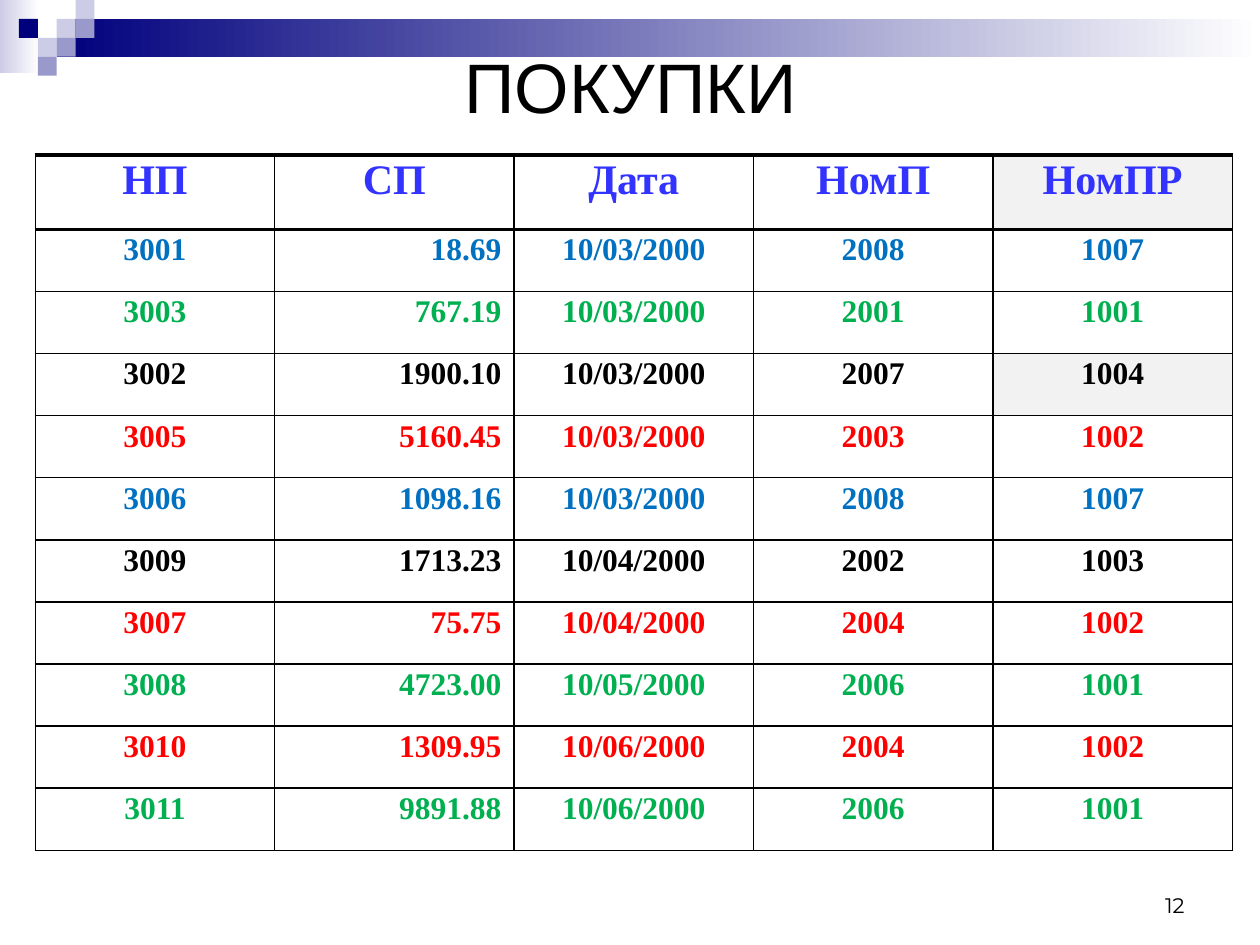
"""Build the purchases table slide."""
from dataclasses import dataclass

from lxml.etree import SubElement
from pptx import Presentation
from pptx.dml.color import RGBColor
from pptx.enum.shapes import MSO_SHAPE
from pptx.enum.text import MSO_ANCHOR, PP_ALIGN
from pptx.oxml.ns import qn
from pptx.slide import Slide
from pptx.table import _Cell
from pptx.text.text import TextFrame
from pptx.util import Inches, Pt


@dataclass(frozen=True)
class Theme:
    navy: str = "00007D"
    lilac: str = "CCCCE6"
    violet: str = "9999CC"
    white: str = "FFFFFF"
    black: str = "000000"
    heading: str = "3333FF"
    shade: str = "F2F2F2"
    blue: str = "0070C0"
    green: str = "00B050"
    red: str = "FF0000"
    title_font: str = "Arial"
    table_font: str = "Times New Roman"
    number_font: str = "Montserrat"
    title_size: int = 40
    heading_size: int = 24
    body_size: int = 18
    number_size: int = 12
    thin: int = 1
    thick: int = 2


@dataclass(frozen=True)
class Style:
    font: str
    size: int
    color: str
    bold: bool = False
    align: PP_ALIGN = PP_ALIGN.CENTER
    line_spacing: float = 1.0


@dataclass(frozen=True)
class Box:
    left: float
    top: float
    width: float
    height: float

    def lengths(self) -> tuple[Inches, ...]:
        return tuple(map(Inches, (self.left, self.top, self.width, self.height)))


@dataclass(frozen=True)
class Block:
    box: Box
    color: str
    fade_to: str | None = None


THEME = Theme()
STEP = 0.15
BLOCKS = [
    Block(Box(0, 0, 0.31, 0.58), THEME.lilac, THEME.white),
    Block(Box(0.45, STEP, 9.55, 2 * STEP), THEME.navy, THEME.white),
] + [
    Block(Box(column * STEP, row * STEP, STEP, STEP), color)
    for column, row, color in [
        (3, 1, THEME.lilac), (4, 0, THEME.lilac), (4, 1, THEME.violet),
        (2, 2, THEME.lilac), (1, 1, THEME.navy), (3, 2, THEME.violet),
        (2, 3, THEME.violet),
    ]
]

HEADINGS = ("НП", "СП", "Дата", "НомП", "НомПР")
PURCHASES = [
    ("3001", "18.69", "10/03/2000", "2008", "1007"),
    ("3003", "767.19", "10/03/2000", "2001", "1001"),
    ("3002", "1900.10", "10/03/2000", "2007", "1004"),
    ("3005", "5160.45", "10/03/2000", "2003", "1002"),
    ("3006", "1098.16", "10/03/2000", "2008", "1007"),
    ("3009", "1713.23", "10/04/2000", "2002", "1003"),
    ("3007", "75.75", "10/04/2000", "2004", "1002"),
    ("3008", "4723.00", "10/05/2000", "2006", "1001"),
    ("3010", "1309.95", "10/06/2000", "2004", "1002"),
    ("3011", "9891.88", "10/06/2000", "2006", "1001"),
]
SELLER_COLORS = {"1007": THEME.blue, "1001": THEME.green, "1002": THEME.red}
SHADED = {"НомПР", "1004"}
AMOUNT_COLUMN = HEADINGS.index("СП")
TABLE_BOX = Box(0.28, 1.23, 9.5, 5.52)
HEADING_HEIGHT = 0.59


def draw_block(slide: Slide, block: Block) -> None:
    square = slide.shapes.add_shape(MSO_SHAPE.RECTANGLE, *block.box.lengths())
    square.shadow.inherit = False
    square.line.fill.background()
    if block.fade_to is None:
        square.fill.solid()
        square.fill.fore_color.rgb = RGBColor.from_string(block.color)
        return
    square.fill.gradient()
    square.fill.gradient_angle = 0
    for stop, color in zip(square.fill.gradient_stops, (block.color, block.fade_to)):
        stop.color.rgb = RGBColor.from_string(color)


def write(frame: TextFrame, text: str, style: Style) -> None:
    paragraph = frame.paragraphs[0]
    paragraph.alignment = style.align
    paragraph.line_spacing = style.line_spacing
    run = paragraph.add_run()
    run.text = text
    run.font.name = style.font
    run.font.size = Pt(style.size)
    run.font.bold = style.bold
    run.font.color.rgb = RGBColor.from_string(style.color)


def draw_text(slide: Slide, box: Box, text: str, style: Style, anchor: MSO_ANCHOR) -> None:
    frame = slide.shapes.add_textbox(*box.lengths()).text_frame
    frame.word_wrap = True
    frame.vertical_anchor = anchor
    write(frame, text, style)


def set_borders(cell: _Cell, top: int, bottom: int) -> None:
    properties = cell._tc.get_or_add_tcPr()
    widths = {"a:lnL": THEME.thin, "a:lnR": THEME.thin, "a:lnT": top, "a:lnB": bottom}
    for position, (tag, width) in enumerate(widths.items()):
        border = SubElement(properties, qn(tag), w=str(Pt(width)))
        fill = SubElement(border, qn("a:solidFill"))
        SubElement(fill, qn("a:srgbClr"), val=THEME.black)
        properties.insert(position, border)


def fill_cell(cell: _Cell, text: str, style: Style, top: int, bottom: int) -> None:
    write(cell.text_frame, text, style)
    if text in SHADED:
        cell.fill.solid()
        cell.fill.fore_color.rgb = RGBColor.from_string(THEME.shade)
    else:
        cell.fill.background()
    set_borders(cell, top, bottom)


def draw_purchases(slide: Slide) -> None:
    records = [HEADINGS, *PURCHASES]
    table = slide.shapes.add_table(len(records), len(HEADINGS), *TABLE_BOX.lengths()).table
    table.first_row = False
    table.horz_banding = False
    for column in table.columns:
        column.width = Inches(TABLE_BOX.width / len(HEADINGS))
    body_height = (TABLE_BOX.height - HEADING_HEIGHT) / len(PURCHASES)
    for index, record in enumerate(records):
        is_heading = index == 0
        table.rows[index].height = Inches(HEADING_HEIGHT if is_heading else body_height)
        color = THEME.heading if is_heading else SELLER_COLORS.get(record[-1], THEME.black)
        size = THEME.heading_size if is_heading else THEME.body_size
        top = THEME.thick if index <= 1 else THEME.thin
        bottom = THEME.thick if is_heading else THEME.thin
        for column, text in enumerate(record):
            is_amount = column == AMOUNT_COLUMN and not is_heading
            align = PP_ALIGN.RIGHT if is_amount else PP_ALIGN.CENTER
            style = Style(THEME.table_font, size, color, True, align, 0.9)
            fill_cell(table.cell(index, column), text, style, top, bottom)


def main() -> None:
    deck = Presentation()
    deck.slide_width, deck.slide_height = Inches(10), Inches(7.5)
    slide = deck.slides.add_slide(deck.slide_layouts[6])
    for block in BLOCKS:
        draw_block(slide, block)
    title_style = Style(THEME.title_font, THEME.title_size, THEME.black)
    draw_text(slide, Box(0.51, 0.36, 8.99, 0.63), "ПОКУПКИ", title_style, MSO_ANCHOR.MIDDLE)
    draw_purchases(slide)
    number_style = Style(
        THEME.number_font, THEME.number_size, THEME.black, align=PP_ALIGN.RIGHT
    )
    draw_text(slide, Box(7.17, 6.83, 2.33, 0.5), "12", number_style, MSO_ANCHOR.BOTTOM)
    deck.save("out.pptx")


if __name__ == "__main__":
    main()
